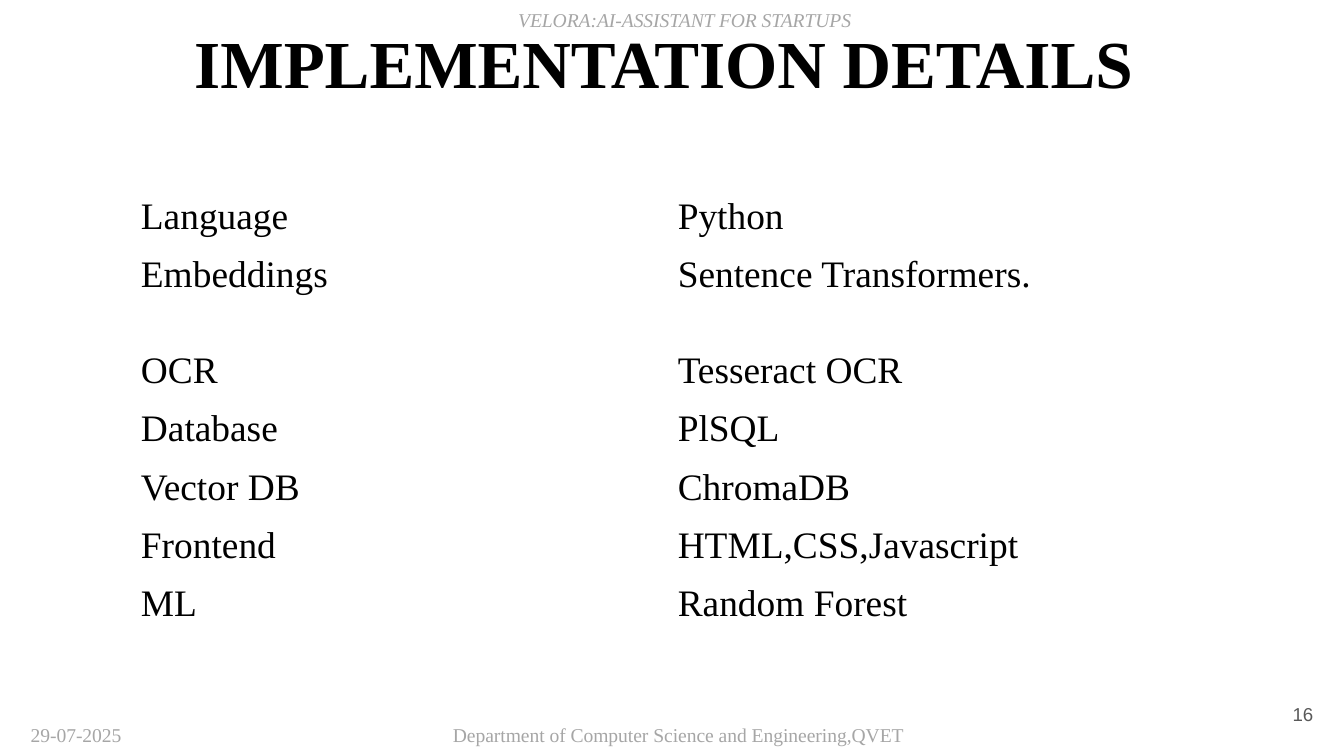
from dataclasses import dataclass

from pptx import Presentation
from pptx.dml.color import RGBColor
from pptx.enum.text import MSO_ANCHOR, PP_ALIGN
from pptx.util import Cm, Pt


@dataclass(frozen=True)
class Theme:
    serif: str = "Times New Roman"
    sans: str = "Arial"
    ink: str = "000000"
    muted: str = "A6A6A6"
    number: str = "595959"
    title_size: float = 36
    body_size: float = 20
    furniture_size: float = 10.5
    number_size: float = 10


class SlideBuilder:
    def __init__(self, prs, theme):
        self.theme = theme
        self.s = prs.slides.add_slide(prs.slide_layouts[5])

    def add_text(self, tf, text, size, color, name=None, align=PP_ALIGN.LEFT, **style):
        p = tf.paragraphs[0]
        p.alignment = align
        r = p.add_run()
        r.text = text
        font = {"name": name or self.theme.serif, "size": Pt(size), **style}
        for key, value in font.items():
            setattr(r.font, key, value)
        r.font.color.rgb = RGBColor.from_string(color)

    def frame(self, sp, anchor, inset=0.25):
        tf = sp.text_frame
        layout = {"word_wrap": True, "vertical_anchor": anchor,
                  "margin_left": Cm(0.25), "margin_right": Cm(0.25),
                  "margin_top": Cm(inset), "margin_bottom": Cm(inset)}
        for key, value in layout.items():
            setattr(tf, key, value)
        return tf

    def title(self, text, left, top, width, height):
        sp = self.s.shapes.title
        box = {"left": left, "top": top, "width": width, "height": height}
        for key, value in box.items():
            setattr(sp, key, Cm(value))
        self.add_text(self.frame(sp, MSO_ANCHOR.BOTTOM), text, self.theme.title_size,
                      self.theme.ink, align=PP_ALIGN.CENTER, bold=True)

    def textbox(self, left, top, width, height, anchor, inset):
        sp = self.s.shapes.add_textbox(Cm(left), Cm(top), Cm(width), Cm(height))
        return self.frame(sp, anchor, inset)

    def furniture(self, text, left, top, width, **style):
        tf = self.textbox(left, top, width, 0.7, MSO_ANCHOR.TOP, 0.13)
        self.add_text(tf, text, self.theme.furniture_size, self.theme.muted, **style)

    def page_number(self, text, left, top, width, height):
        tf = self.textbox(left, top, width, height, MSO_ANCHOR.MIDDLE, 0.25)
        self.add_text(tf, text, self.theme.number_size, self.theme.number,
                      name=self.theme.sans, align=PP_ALIGN.RIGHT)

    def table(self, rows, left, top, width, heights):
        table = self.s.shapes.add_table(len(rows), len(rows[0]), Cm(left), Cm(top),
                                        Cm(width), Cm(sum(heights))).table
        table.first_row = False
        table.horz_banding = False
        for row, height, texts in zip(table.rows, heights, rows):
            row.height = Cm(height)
            for cell, text in zip(row.cells, texts):
                cell.fill.background()
                self.add_text(cell.text_frame, text, self.theme.body_size,
                              self.theme.ink, align=PP_ALIGN.JUSTIFY)


def main():
    prs = Presentation()
    prs.slide_width, prs.slide_height = Cm(25.4), Cm(14.29)
    slide = SlideBuilder(prs, Theme())

    slide.furniture("Department of Computer Science and Engineering,QVET", 8.31, 13.54, 10.87)
    slide.furniture("29-07-2025", 0.33, 13.54, 4.17)
    slide.furniture("VELORA:AI-ASSISTANT FOR STARTUPS", 2.34, 0.03, 21.21,
                    align=PP_ALIGN.CENTER, italic=True)
    slide.title("IMPLEMENTATION DETAILS", 1.9, 0.3, 21.29, 1.88)
    slide.page_number("16", 23.55, 12.95, 1.52, 1.09)

    stack = [
        ("Language", "Python"),
        ("Embeddings", "Sentence Transformers."),
        ("OCR", "Tesseract OCR"),
        ("Database", "PlSQL"),
        ("Vector DB", "ChromaDB"),
        ("Frontend", "HTML,CSS,Javascript"),
        ("ML", "Random Forest"),
    ]
    heights = [1.81 if name == "Embeddings" else 1.04 for name, _ in stack]
    slide.table(stack, 2.41, 3.58, 20.29, heights)
    prs.save("out.pptx")


if __name__ == "__main__":
    main()
